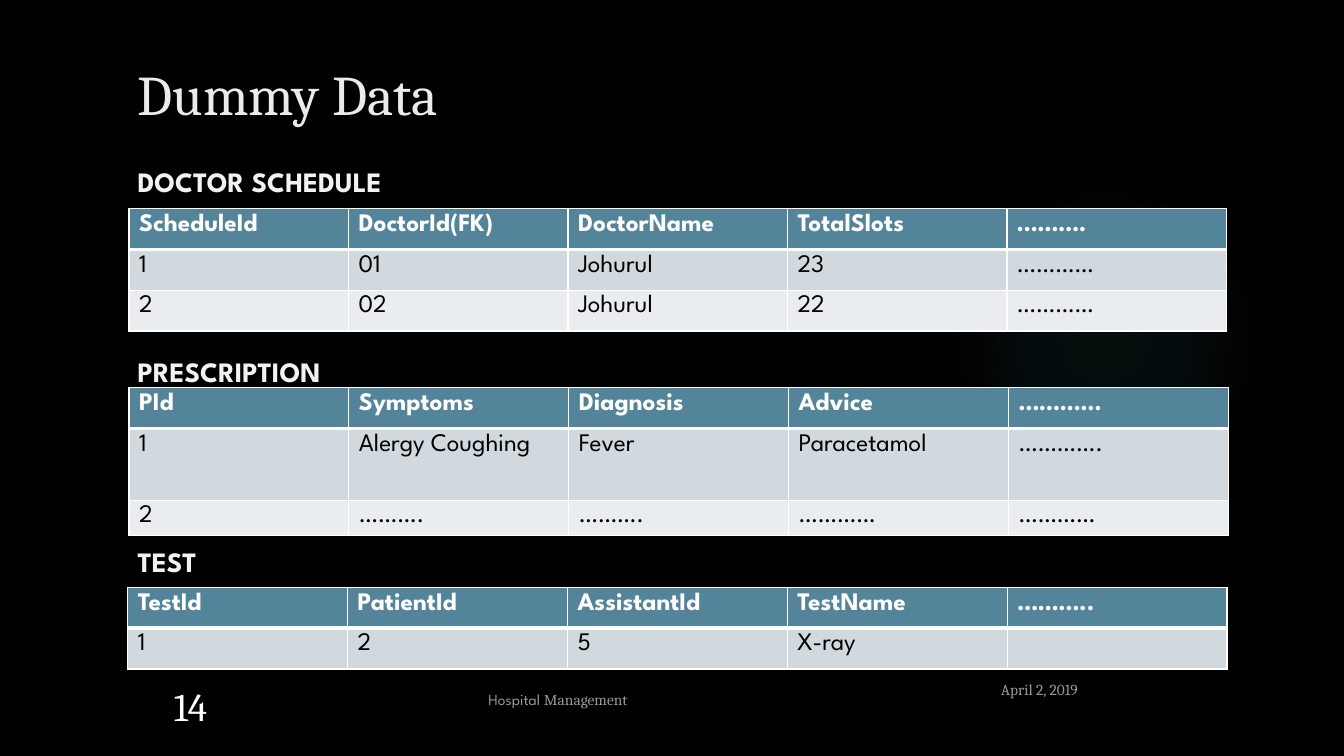
from lxml import etree
from pptx import Presentation
from pptx.dml.color import RGBColor
from pptx.enum.shapes import MSO_SHAPE
from pptx.enum.text import MSO_ANCHOR, PP_ALIGN
from pptx.oxml.ns import qn
from pptx.util import Inches, Pt

OVAL = MSO_SHAPE.OVAL
TOP, BOTTOM = MSO_ANCHOR.TOP, MSO_ANCHOR.BOTTOM
LEFT, CENTER = PP_ALIGN.LEFT, PP_ALIGN.CENTER

SERIF, SANS = "Cambria", "League Spartan"
WHITE, BLACK, TEAL = "FFFFFF", "000000", "54849A"
BANDS = ["D1D9DE", "E9EDEF"]


def color(hex_code):
    return RGBColor.from_string(hex_code)


def add_node(parent, tag, **attributes):
    return etree.SubElement(parent, qn(tag), {k: str(v) for k, v in attributes.items()})


def write(paragraph, words, size=18, font=SANS, ink=WHITE, bold=False, alpha=None):
    run = paragraph.add_run()
    run.text = words
    run.font.size, run.font.name, run.font.bold = Pt(size), font, bold
    run.font.color.rgb = color(ink)
    if alpha:
        ink_node = run.font.fill._xPr.find(".//" + qn("a:srgbClr"))
        add_node(ink_node, "a:alpha", val=alpha * 1000)


class DataSlide:
    """Places elements by percentages of the slide's width and height."""

    def __init__(self, deck, background):
        self.width, self.height = deck.slide_width, deck.slide_height
        self.slide = deck.slides.add_slide(deck.slide_layouts[6])
        self.slide.background.fill.solid()
        self.slide.background.fill.fore_color.rgb = color(background)

    def across(self, share):
        return int(self.width * share / 100)

    def down(self, share):
        return int(self.height * share / 100)

    def box(self, left, top, width, height):
        return self.across(left), self.down(top), self.across(width), self.down(height)

    def text(self, place, *pieces, anchor=TOP, align=LEFT, **style):
        frame = self.slide.shapes.add_textbox(*self.box(*place)).text_frame
        frame.word_wrap, frame.vertical_anchor = True, anchor
        paragraph = frame.paragraphs[0]
        paragraph.alignment = align
        for words, font in pieces:
            write(paragraph, words, font=font, **style)

    def glow(self, place, tint, stops):
        halo = self.slide.shapes.add_shape(OVAL, *self.box(*place))
        halo.shadow.inherit = False
        halo.line.fill.background()
        halo.fill.gradient()
        gradient = halo._element.spPr.find(qn("a:gradFill"))
        gradient.clear()
        stop_list = add_node(gradient, "a:gsLst")
        for position, alpha in stops:
            stop = add_node(stop_list, "a:gs", pos=position * 1000)
            add_node(add_node(stop, "a:srgbClr", val=tint), "a:alpha", val=alpha * 1000)
        radial = add_node(gradient, "a:path", path="circle")
        add_node(radial, "a:fillToRect", l=50000, t=50000, r=50000, b=50000)

    def borders(self, cell, top, bottom):
        properties = cell._tc.get_or_add_tcPr()
        sides = [("L", 1), ("R", 1), ("T", top), ("B", bottom)]
        for index, (side, points) in enumerate(sides):
            edge = add_node(properties, "a:ln" + side, w=Pt(points))
            add_node(add_node(edge, "a:solidFill"), "a:srgbClr", val=WHITE)
            properties.insert(index, edge)

    def table(self, left, top, width, row_shares, records):
        place = self.box(left, top, width, sum(row_shares))
        grid = self.slide.shapes.add_table(len(records), len(records[0]), *place).table
        grid.horz_banding = False
        for r, (share, record) in enumerate(zip(row_shares, records)):
            grid.rows[r].height = self.down(share)
            for c, value in enumerate(record):
                cell = grid.cell(r, c)
                cell.margin_bottom = 0
                cell.fill.solid()
                cell.fill.fore_color.rgb = color(BANDS[(r - 1) % 2] if r else TEAL)
                self.borders(cell, top=3 if r == 1 else 1, bottom=1 if r else 3)
                if value:
                    write(cell.text_frame.paragraphs[0], value,
                          ink=BLACK if r else WHITE, bold=r == 0)


def main():
    deck = Presentation()
    deck.slide_width, deck.slide_height = Inches(13.33), Inches(7.5)
    page = DataSlide(deck, BLACK)

    # Background glow and title
    page.glow((70.59, 24.4, 23.11, 41.07), "50B9C1", [(0, 7), (36, 6), (69, 0), (100, 0)])
    page.text((9.5, 7.47, 72.39, 10), ("Dummy Data", SERIF),
              anchor=BOTTOM, size=40, ink="EBEBEB")

    # Section headings, evenly spaced and clear of the tables below them
    for index, heading in enumerate(["DOCTOR SCHEDULE", "PRESCRIPTION", "TEST"]):
        page.text((9.5, 21.1 + 25.15 * index, 72.39, 4.8), (heading, SANS),
                  size=20, ink="F2F2F2", bold=True)

    # Footer
    page.text((73.74, 89.33, 8.1, 4.4), ("April 2, 2019", SERIF), size=11, alpha=60)
    page.text((30.83, 90, 21.38, 4.4), ("Hospital ", SANS), ("Management", SERIF),
              anchor=BOTTOM, align=CENTER, size=11, alpha=60)
    page.text((10.73, 86, 6.9, 11.2), ("14", SERIF),
              anchor=BOTTOM, align=CENTER, size=28)

    # Data tables
    row = 5.4
    page.table(9.6, 27.6, 81.65, [row] * 3, [
        ["ScheduleId", "DoctorId(FK)", "DoctorName", "TotalSlots", "………."],
        ["1", "01", "Johurul", "23", "…………"],
        ["2", "02", "Johurul", "22", "…………"],
    ])
    page.table(9.6, 51.3, 81.8, [row, 9.47, 4.4], [
        ["PId", "Symptoms", "Diagnosis", "Advice", "…………"],
        ["1", "Alergy Coughing", "Fever", "Paracetamol", "…………."],
        ["2", "……….", "……….", "…………", "…………"],
    ])
    page.table(9.5, 77.7, 81.8, [row] * 2, [
        ["TestId", "PatientId", "AssistantId", "TestName", "……….."],
        ["1", "2", "5", "X-ray", ""],
    ])

    deck.save("out.pptx")


if __name__ == "__main__":
    main()
